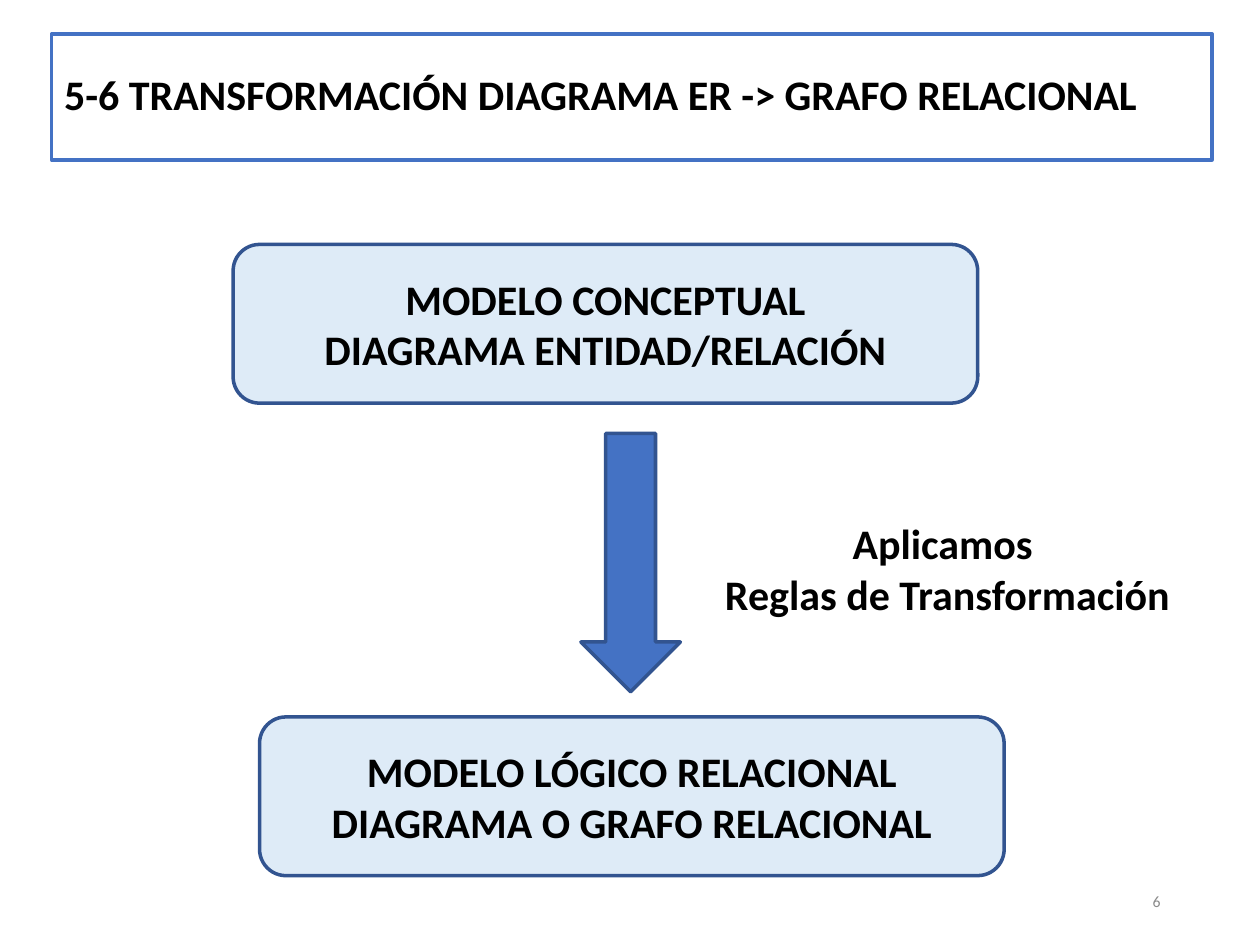
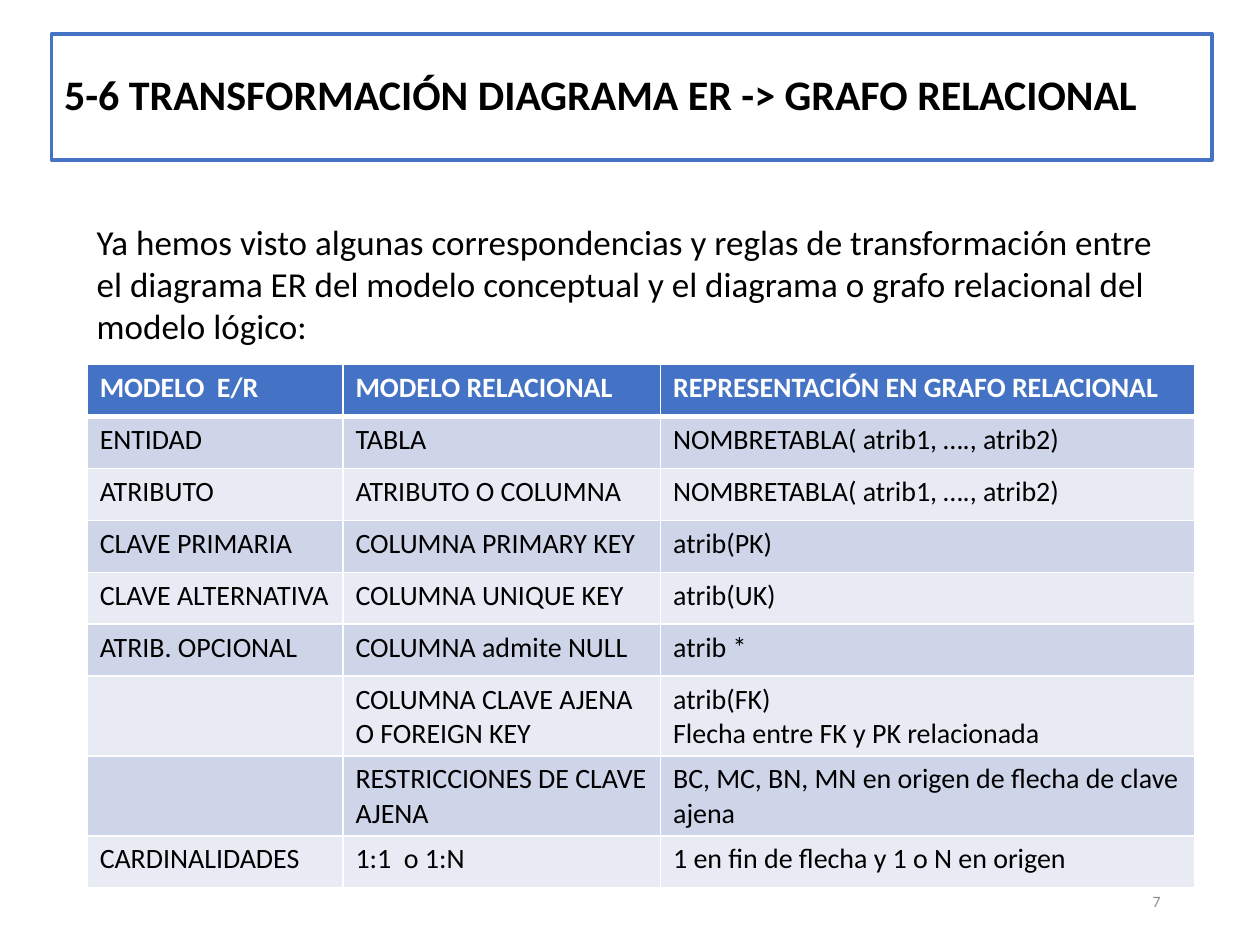
from lxml import etree
from pptx import Presentation
from pptx.dml.color import RGBColor
from pptx.enum import shapes, text
from pptx.oxml import ns
from pptx.util import Pt

BLUE = RGBColor(0x44, 0x72, 0xC4)
NAVY = RGBColor(0x32, 0x54, 0x90)
PALE = RGBColor(0xDE, 0xEB, 0xF7)
BAND = RGBColor(0xCF, 0xD5, 0xE9)
LIGHT = RGBColor(0xE8, 0xEB, 0xF4)
GREY = RGBColor(0x8B, 0x8B, 0x8B)
BLACK = RGBColor(0, 0, 0)
WHITE = RGBColor(255, 255, 255)

FONT = "Calibri"
TITLE = "5-6 TRANSFORMACIÓN DIAGRAMA ER -> GRAFO RELACIONAL"
TITLE_BOX = (29.5, 19.4, 663.1, 72)
NUMBER_BOX = (508.3, 500.4, 162, 28.8)
FLOW_BOX = (133.2, 139.7, 550.1, 360.7)
RULES_BOX = (48.2, 122.4, 634.6, 384.6)

INTRO = ("Ya hemos visto algunas correspondencias y reglas de transformación "
         "entre el diagrama ER del modelo conceptual y el diagrama o grafo "
         "relacional del modelo lógico:")
RULES = [
    ("MODELO  E/R", "MODELO RELACIONAL", "REPRESENTACIÓN EN GRAFO RELACIONAL"),
    ("ENTIDAD", "TABLA", "NOMBRETABLA( atrib1, …., atrib2)"),
    ("ATRIBUTO", "ATRIBUTO O COLUMNA", "NOMBRETABLA( atrib1, …., atrib2)"),
    ("CLAVE PRIMARIA", "COLUMNA PRIMARY KEY", "atrib(PK)"),
    ("CLAVE ALTERNATIVA", "COLUMNA UNIQUE KEY", "atrib(UK)"),
    ("ATRIB. OPCIONAL", "COLUMNA admite NULL", "atrib *"),
    ("", "COLUMNA CLAVE AJENA\nO FOREIGN KEY",
     "atrib(FK)\nFlecha entre FK y PK relacionada"),
    ("", "RESTRICCIONES DE CLAVE AJENA",
     "BC, MC, BN, MN en origen de flecha de clave ajena"),
    ("CARDINALIDADES", "1:1  o 1:N", "1 en fin de flecha y 1 o N en origen"),
]
COLS = (146.2, 181.5, 305.3)
ROW, TALL = 29.7, 45.4
TALL_ROWS = (6, 7)


def write(frame, words, size=24, color=BLACK, bold=False,
          align=text.PP_ALIGN.LEFT, anchor=text.MSO_ANCHOR.TOP,
          spacing=None, after=None):
    frame.word_wrap = True
    frame.vertical_anchor = anchor
    frame.text = words
    for para in frame.paragraphs:
        para.alignment = align
        para.line_spacing = spacing
        if after is not None:
            para.space_after = Pt(after)
        font = para.font
        font.name, font.size, font.bold = FONT, Pt(size), bold
        font.color.rgb = color


def label(slide, box, words, **style):
    frame = slide.shapes.add_textbox(*map(Pt, box)).text_frame
    write(frame, words, **style)


def draw(slide, kind, box, line, fill=None):
    shape = slide.shapes.add_shape(kind, *map(Pt, box))
    shape.shadow.inherit = False
    shape.line.color.rgb = line
    shape.line.width = Pt(2)
    if fill is None:
        shape.fill.background()
    else:
        shape.fill.solid()
        shape.fill.fore_color.rgb = fill
    return shape


def frame_page(slide, number):
    """Add the title band and the page number."""
    band = draw(slide, shapes.MSO_SHAPE.RECTANGLE, TITLE_BOX, BLUE)
    write(band.text_frame, TITLE, bold=True, spacing=0.9,
          anchor=text.MSO_ANCHOR.MIDDLE)
    label(slide, NUMBER_BOX, str(number), size=9, color=GREY, after=6,
          align=text.PP_ALIGN.RIGHT, anchor=text.MSO_ANCHOR.MIDDLE)


def draw_flow(slide, box):
    """Show the step from the conceptual model to the logical one."""
    left, top, width, height = box
    wide, high = 425.5, 90.7
    models = [
        (0, 0, "MODELO CONCEPTUAL\nDIAGRAMA ENTIDAD/RELACIÓN"),
        (15.1, height - high,
         "MODELO LÓGICO RELACIONAL\nDIAGRAMA O GRAFO RELACIONAL"),
    ]
    for dx, dy, words in models:
        card = draw(slide, shapes.MSO_SHAPE.ROUNDED_RECTANGLE,
                    (left + dx, top + dy, wide, high), NAVY, PALE)
        write(card.text_frame, words, bold=True,
              align=text.PP_ALIGN.CENTER, anchor=text.MSO_ANCHOR.MIDDLE)
    draw(slide, shapes.MSO_SHAPE.DOWN_ARROW,
         (left + 198.7, top + 108, 56.9, 147.6), NAVY, BLUE)
    note = 283.7
    label(slide, (left + width - note, top + 152.6, note, 64.8),
          "Aplicamos \nReglas de Transformación", bold=True,
          align=text.PP_ALIGN.CENTER)


def edge(cell, row):
    """Draw white borders, thick below the header row."""
    props = cell._tc.get_or_add_tcPr()
    for side in "LRTB":
        thick = (row, side) in ((0, "B"), (1, "T"))
        line = etree.SubElement(props, ns.qn(f"a:ln{side}"),
                                w=str(Pt(3 if thick else 0.96)))
        fill = etree.SubElement(line, ns.qn("a:solidFill"))
        etree.SubElement(fill, ns.qn("a:srgbClr"), val=str(WHITE))


def draw_rules(slide, box):
    """Place the introduction above the table of rules."""
    left, top, width, height = box
    label(slide, (left, top, 622.1, 103), INTRO, size=20)
    highs = [TALL if row in TALL_ROWS else ROW for row in range(len(RULES))]
    deep, wide = sum(highs), sum(COLS)
    grid = slide.shapes.add_table(
        len(RULES), len(COLS), Pt(left + width - wide),
        Pt(top + height - deep), Pt(wide), Pt(deep)).table
    for col, size in zip(grid.columns, COLS):
        col.width = Pt(size)
    for row, (high, words) in enumerate(zip(highs, RULES)):
        grid.rows[row].height = Pt(high)
        head = row == 0
        shade = BLUE if head else BAND if row % 2 else LIGHT
        for cell, entry in zip(grid.rows[row].cells, words):
            edge(cell, row)
            cell.fill.solid()
            cell.fill.fore_color.rgb = shade
            write(cell.text_frame, entry, size=16, bold=head,
                  color=WHITE if head else BLACK)


def main():
    deck = Presentation()
    deck.slide_width, deck.slide_height = Pt(720), Pt(540)
    pages = [(draw_flow, FLOW_BOX), (draw_rules, RULES_BOX)]
    for number, (build, box) in enumerate(pages, 6):
        slide = deck.slides.add_slide(deck.slide_layouts[6])
        frame_page(slide, number)
        build(slide, box)
    deck.save("out.pptx")


if __name__ == "__main__":
    main()
